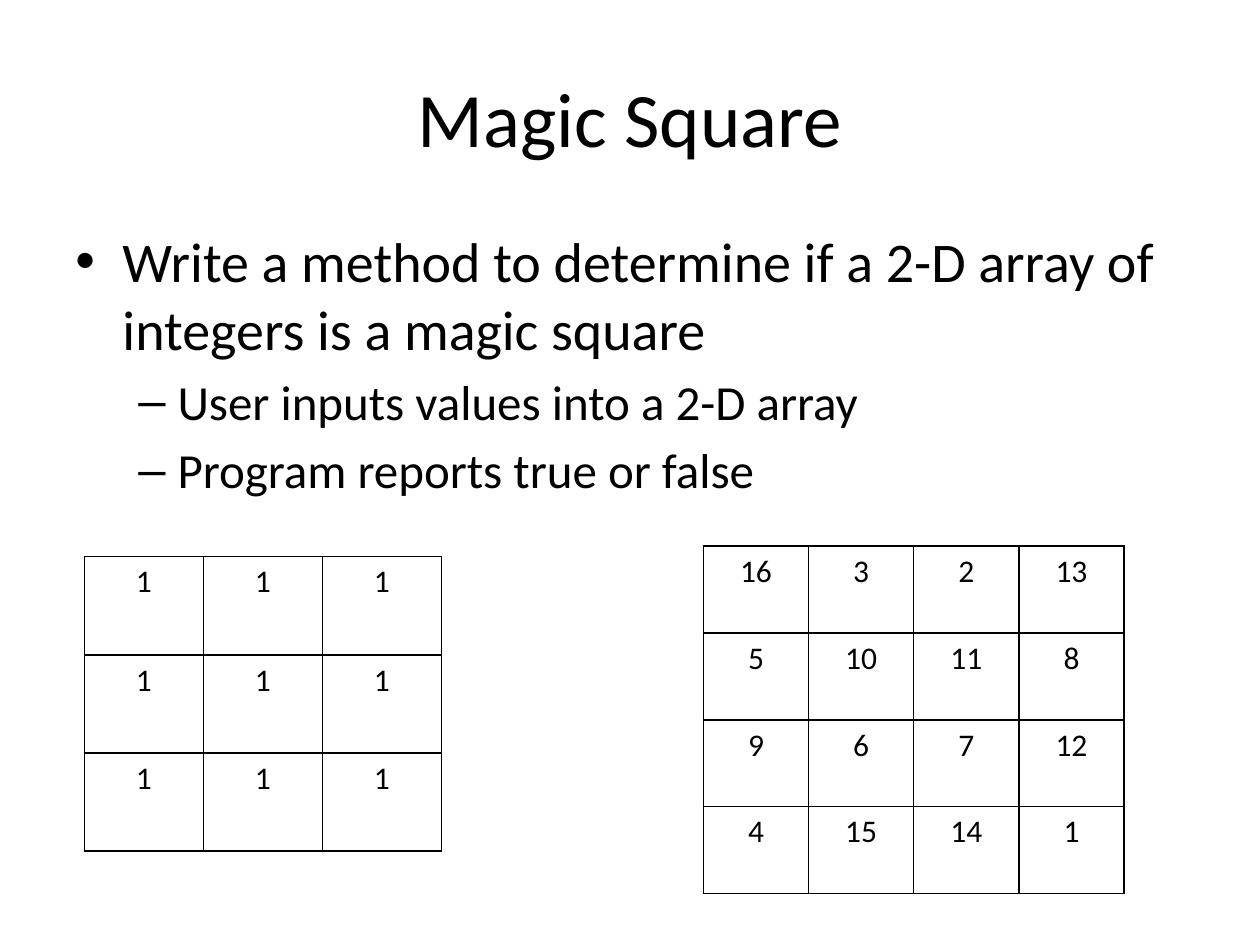
from lxml import etree
from pptx import Presentation, util as u
from pptx.dml.color import RGBColor
from pptx.enum import text
from pptx.oxml import ns


def set_font(font, size, colour="000000"):
    for name, value in {"name": "Calibri", "size": u.Pt(size), "bold": False}.items():
        setattr(font, name, value)
    font.color.rgb = RGBColor.from_string(colour)


def add_element(parent, tag, position=None, **attributes):
    element = etree.Element(ns.qn(tag), attributes)
    parent.insert(len(parent) if position is None else position, element)
    return element


presentation = Presentation()
presentation.slide_width = u.Cm(25.4)
presentation.slide_height = u.Cm(19.05)
slide = presentation.slides.add_slide(presentation.slide_layouts[5])

title = slide.shapes.title
title_place = {"left": 1.27, "top": 0.76, "width": 22.86, "height": 3.18}
for name, value in title_place.items():
    setattr(title, name, u.Cm(value))
title.text_frame.text = "Magic Square"
title.text_frame.vertical_anchor = text.MSO_ANCHOR.MIDDLE
title_paragraph = title.text_frame.paragraphs[0]
title_paragraph.alignment = text.PP_ALIGN.CENTER
set_font(title_paragraph.font, 44)

task_box = slide.shapes.add_textbox(u.Cm(1.27), u.Cm(4.45), u.Cm(22.86), u.Cm(12.57))
task_frame = task_box.text_frame
task_frame.word_wrap = True
levels = [
    {"bullet": "•", "size": 32, "margin": 0.95, "indent": -0.95},
    {"bullet": "–", "size": 28, "margin": 2.06, "indent": -0.79},
]
tasks = [
    (0, "Write a method to determine if a 2-D array of integers is a magic square"),
    (1, "User inputs values into a 2-D array"),
    (1, "Program reports true or false"),
]
for index, (level, wording) in enumerate(tasks):
    style = levels[level]
    paragraph = task_frame.add_paragraph() if index else task_frame.paragraphs[0]
    paragraph.text = wording
    paragraph.level = level
    paragraph.space_before = u.Pt(style["size"] * 0.2 if index else 0)
    properties = paragraph._p.get_or_add_pPr()
    properties.set("marL", str(u.Cm(style["margin"])))
    properties.set("indent", str(u.Cm(style["indent"])))
    add_element(properties, "a:buFont", typeface="Arial")
    add_element(properties, "a:buChar", char=style["bullet"])
    set_font(paragraph.font, style["size"])

squares = [
    {"left": 1.7, "top": 11.22, "column": 2.4, "row": 1.98,
     "values": [[1] * 3] * 3},
    {"left": 14.18, "top": 11.01, "column": 2.12, "row": 1.75,
     "values": [[16, 3, 2, 13], [5, 10, 11, 8], [9, 6, 7, 12], [4, 15, 14, 1]]},
]
for square in squares:
    values = square["values"]
    count = len(values)
    table = slide.shapes.add_table(
        count, count, u.Cm(square["left"]), u.Cm(square["top"]),
        u.Cm(square["column"] * count), u.Cm(square["row"] * count)).table
    for name in ("first_row", "horz_banding"):
        setattr(table, name, False)
    for column in table.columns:
        column.width = u.Cm(square["column"])
    for row, row_values in zip(table.rows, values):
        row.height = u.Cm(square["row"])
        for cell, value in zip(row.cells, row_values):
            cell.text = str(value)
            cell.fill.background()
            paragraph = cell.text_frame.paragraphs[0]
            paragraph.alignment = text.PP_ALIGN.CENTER
            set_font(paragraph.font, 18)
            for position, side in enumerate("LRTB"):
                border = add_element(cell._tc.get_or_add_tcPr(), f"a:ln{side}",
                                     position, w=str(u.Pt(1)))
                border_fill = add_element(border, "a:solidFill")
                add_element(border_fill, "a:srgbClr", val="000000")

presentation.save("out.pptx")
